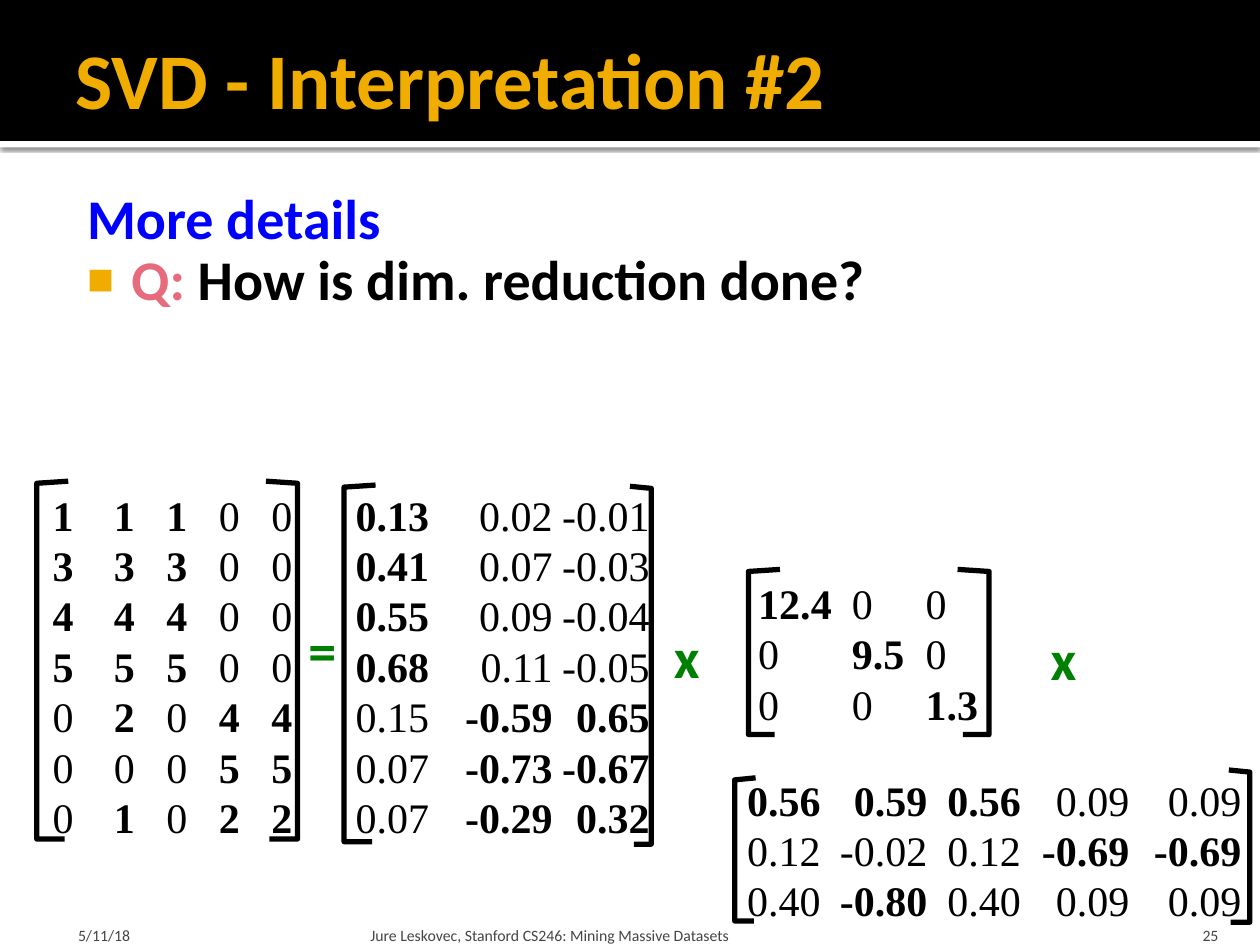
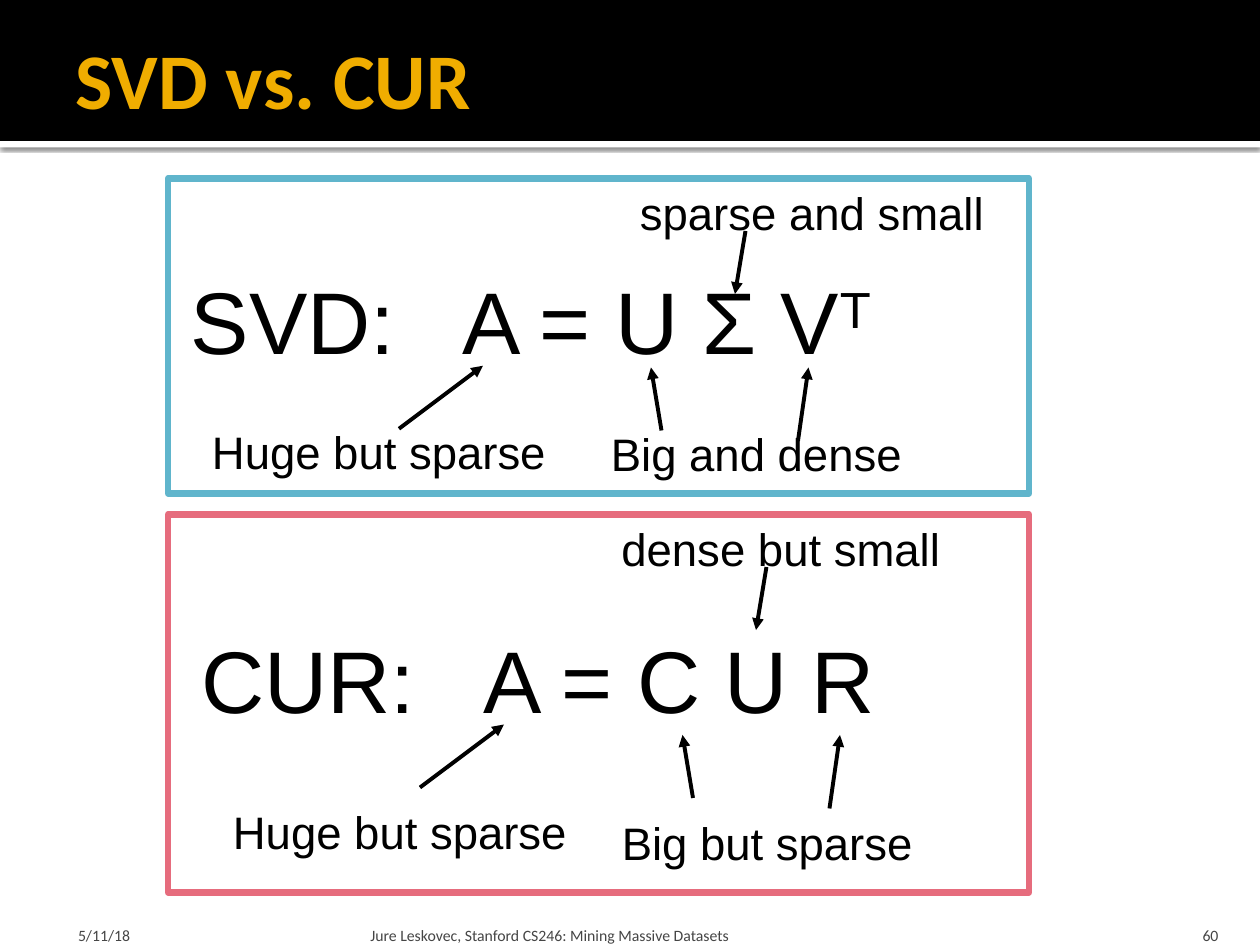
from lxml import etree
from pptx import Presentation
from pptx.dml.color import RGBColor
from pptx.enum.shapes import MSO_CONNECTOR, MSO_SHAPE
from pptx.enum.text import MSO_ANCHOR as ANCHOR, MSO_AUTO_SIZE, PP_ALIGN as ALIGN
from pptx.oxml import parse_xml
from pptx.oxml.ns import nsdecls, qn
from pptx.util import Pt

BLACK = RGBColor(0x00, 0x00, 0x00)
WHITE = RGBColor(0xFF, 0xFF, 0xFF)
GOLD = RGBColor(0xF0, 0xAD, 0x00)
BLUE = RGBColor(0x00, 0x00, 0xFF)
GREEN = RGBColor(0x00, 0x80, 0x00)
ROSE = RGBColor(0xE6, 0x6C, 0x7D)
SKY = RGBColor(0x60, 0xB5, 0xCC)
GREY = RGBColor(0x45, 0x45, 0x45)

HEADING, MATH, LABEL = "Calibri", "Times New Roman", "Arial"
INSETS = (7.2, 3.6, 7.2, 3.6)
TITLE_ONLY, TITLE_AND_BODY = 5, 1
DATE = "5/11/18"
FOOTER = "Jure Leskovec, Stanford CS246: Mining Massive Datasets"

# Bold cells are marked with *
MATRIX_A = ["*1 *1 *1 0 0", "*3 *3 *3 0 0", "*4 *4 *4 0 0", "*5 *5 *5 0 0",
            "0 *2 0 *4 *4", "0 0 0 *5 *5", "0 *1 0 *2 *2"]
MATRIX_U = ["*0.13 0.02 -0.01", "*0.41 0.07 -0.03", "*0.55 0.09 -0.04",
            "*0.68 0.11 -0.05", "0.15 *-0.59 *0.65", "0.07 *-0.73 *-0.67",
            "0.07 *-0.29 *0.32"]
MATRIX_SIGMA = ["*12.4 0 0", "0 *9.5 0", "0 0 *1.3"]
MATRIX_VT = ["*0.56 *0.59 *0.56 0.09 0.09", "0.12 -0.02 0.12 *-0.69 *-0.69",
             "0.40 *-0.80 0.40 0.09 0.09"]


def points(values):
    return [Pt(v) for v in values]


def add_run(p, text, size, font, color=BLACK, bold=False):
    r = p.add_run()
    r.text = text
    r.font.size, r.font.name, r.font.bold = Pt(size), font, bold
    r.font.color.rgb = color
    return r


def set_frame(sp, insets=INSETS, anchor=ANCHOR.TOP, wrap=True):
    tf = sp.text_frame
    tf.auto_size = MSO_AUTO_SIZE.NONE
    tf.word_wrap, tf.vertical_anchor = wrap, anchor
    tf.margin_left, tf.margin_top, tf.margin_right, tf.margin_bottom = points(insets)
    return tf


def place(sp, box):
    sp.left, sp.top, sp.width, sp.height = points(box)


def add_text(slide, box, text, size, font, color=BLACK, bold=False,
             align=ALIGN.LEFT, **frame):
    """Add a text box of one paragraph and return that paragraph."""
    p = set_frame(slide.shapes.add_textbox(*points(box)), **frame).paragraphs[0]
    p.alignment = align
    add_run(p, text, size, font, color, bold)
    return p


def set_tabs(p, stops, kind="l"):
    tabs = etree.SubElement(p._p.get_or_add_pPr(), qn("a:tabLst"))
    for stop in stops:
        etree.SubElement(tabs, qn("a:tab"), pos=str(Pt(stop)), algn=kind)


def add_rect(slide, box, fill, line=None, width=0):
    sp = slide.shapes.add_shape(MSO_SHAPE.RECTANGLE, *points(box))
    sp.shadow.inherit = False
    sp.fill.solid()
    sp.fill.fore_color.rgb = fill
    if line is None:
        sp.line.fill.background()
    else:
        sp.line.color.rgb, sp.line.width = line, Pt(width)
    return sp


def add_bands(slide):
    """Put the black title band and its shadowed white edge behind the title."""
    edge = add_rect(slide, (0, 80.6, 720, 3.6), WHITE)
    effects = edge._element.spPr.find(qn("a:effectLst"))
    effects.append(parse_xml(
        f'<a:outerShdw {nsdecls("a")} blurRad="{Pt(2.5)}" dist="{Pt(0.8)}" '
        'dir="5400000" algn="t" rotWithShape="0"><a:srgbClr val="000000">'
        '<a:alpha val="60000"/></a:srgbClr></a:outerShdw>'))
    band = add_rect(slide, (0, 0, 720, 80.6), BLACK)
    for i, sp in enumerate((edge, band)):
        slide.shapes._spTree.insert(2 + i, sp._element)


def add_slide(prs, layout, title, number):
    """Add a slide with the title, bands and footers that all slides share."""
    slide = prs.slides.add_slide(prs.slide_layouts[layout])
    add_bands(slide)
    place(slide.shapes.title, (36, 5.8, 648, 77.8))
    tf = set_frame(slide.shapes.title, (7.2, 3.6, 3.6, 3.6), ANCHOR.MIDDLE)
    p = tf.paragraphs[0]
    p.alignment = ALIGN.LEFT
    add_run(p, title, 45, HEADING, GOLD, True)
    for text, left, width, inset, align in (
            (DATE, 36, 168, 8.6, ALIGN.LEFT),
            (FOOTER, 208, 433.4, 3.6, ALIGN.LEFT),
            (str(number), 645.8, 57.6, 7.2, ALIGN.RIGHT)):
        add_text(slide, (left, 518.4, width, 21.6), text, 9, HEADING, GREY,
                 align=align, insets=(inset, 3.6, inset, 0), anchor=ANCHOR.BOTTOM)
    return slide


def add_body_line(p, runs, bullet=None):
    pPr = p._p.get_or_add_pPr()
    pPr.set("marL", str(Pt(34.6)))
    pPr.set("indent", str(Pt(-25.2)))
    if bullet:
        color = etree.SubElement(pPr, qn("a:buClr"))
        etree.SubElement(color, qn("a:srgbClr"), val=str(GOLD))
        etree.SubElement(pPr, qn("a:buSzPct"), val="80000")
        etree.SubElement(pPr, qn("a:buFont"), typeface="Arial")
        etree.SubElement(pPr, qn("a:buChar"), char=bullet)
    else:
        etree.SubElement(pPr, qn("a:buNone"))
    p.line_spacing, p.space_before = 0.9, Pt(0)
    for text, color in runs:
        add_run(p, text, 32, HEADING, color, True)


def add_bracket(slide, stem, top, bottom, top_lip, bottom_lip):
    """Draw one bracket; negative lips point left."""
    corners = [(stem + top_lip, top), (stem, top + 1.2),
               (stem, bottom), (stem + bottom_lip, bottom)]
    start, *rest = [points(c) for c in corners]
    builder = slide.shapes.build_freeform(*start)
    builder.add_line_segments(rest, close=False)
    sp = builder.convert_to_shape()
    sp.shadow.inherit = False
    sp.fill.background()
    sp.line.color.rgb, sp.line.width = BLACK, Pt(3)


def add_matrix(slide, box, rows, first, stops, kind, brackets):
    """Write rows with tab-aligned columns; first is the indent of column one."""
    for bracket in brackets:
        add_bracket(slide, *bracket)
    tf = set_frame(slide.shapes.add_textbox(*points(box)), (7.2, 4.5, 3.6, 3.6))
    for i, row in enumerate(rows):
        p = tf.add_paragraph() if i else tf.paragraphs[0]
        p._p.get_or_add_pPr().set("marL", str(Pt(first)))
        set_tabs(p, stops, kind)
        p.line_spacing = Pt(28.8)
        for j, cell in enumerate(row.split()):
            add_run(p, ("\t" if j else "") + cell.lstrip("*"), 24, MATH,
                    bold=cell.startswith("*"))


def add_arrow(slide, x1, y1, x2, y2):
    line = slide.shapes.add_connector(MSO_CONNECTOR.STRAIGHT, *points((x1, y1, x2, y2)))
    line.line.color.rgb, line.line.width = BLACK, Pt(2.25)
    etree.SubElement(line.line._get_or_add_ln(), qn("a:tailEnd"), type="triangle")
    etree.SubElement(line._element.spPr, qn("a:effectLst"))


def add_formula(slide, left, top, text, tab):
    p = add_text(slide, (left, top, 474, 67), text, 50, LABEL)
    set_tabs(p, [tab])
    return p


def build_interpretation(prs):
    slide = add_slide(prs, TITLE_AND_BODY, "SVD - Interpretation #2", 25)
    body = slide.placeholders[1]
    place(body, (36, 102.2, 648, 414))
    tf = set_frame(body, (4.3, 7.2, 7.2, 3.6))
    add_body_line(tf.paragraphs[0], [("More details", BLUE)])
    add_body_line(tf.add_paragraph(),
                  [("Q:", ROSE), (" How is dim. reduction done?", BLACK)], "■")

    add_matrix(slide, (18, 275, 156, 211), MATRIX_A, 5,
               [5 + 30 * i for i in range(1, 5)], "l",
               [(21, 275, 479.5, 18, 16), (170, 275, 479.5, -18, -16)])
    add_matrix(slide, (186.5, 275, 198, 211), MATRIX_U, 9.7, [112.5, 173], "r",
               [(196.6, 277.2, 481, 18, 16), (372.2, 277.9, 482.4, -12.2, -10)])
    add_matrix(slide, (426.2, 325.4, 156, 94.3), MATRIX_SIGMA, 0, [53.5, 95.7], "l",
               [(427.7, 325.4, 419.8, 18, 15), (565.2, 325.4, 419.8, -18, -15)])
    add_matrix(slide, (419.8, 437.8, 300, 94.3), MATRIX_VT, 0,
               [103, 156.5, 218.5, 282.5], "r",
               [(419.8, 444.5, 526.3, 12, 11), (714.2, 440, 527, -12, -11)])
    for sign, left, top in (("=", 169.2, 347.8), ("x", 378, 352), ("x", 593.3, 352.8)):
        add_text(slide, (left, top, 31.7, 46), sign, 32, HEADING, GREEN, True,
                 anchor=ANCHOR.MIDDLE, wrap=False)


def build_comparison(prs):
    slide = add_slide(prs, TITLE_ONLY, "SVD vs. CUR", 60)
    add_rect(slide, (96, 294, 492, 216), WHITE, ROSE, 3.78)
    add_rect(slide, (96, 102, 492, 180), WHITE, SKY, 3.78)

    p = add_formula(slide, 102, 149, "SVD:\tA = U Σ V", 155)
    exponent = add_run(p, "T", 50, LABEL)
    exponent._r.get_or_add_rPr().set("baseline", "30000")
    add_formula(slide, 108, 354, "CUR:\tA = C U R", 161.5)

    for text, left, top, width in (
            ("sparse and small", 358.6, 102, 211),
            ("Huge but sparse", 114, 239, 207),
            ("Big and dense", 342, 240, 181),
            ("dense but small", 348, 294, 197),
            ("Huge but sparse", 126, 456, 207),
            ("Big but sparse", 348.2, 462, 181)):
        add_text(slide, (left, top, width, 38.5), text, 26, LABEL, wrap=False)

    for arrow in ((426, 132, 420, 168), (228, 245, 276, 209),
                  (378, 246, 372, 210), (456, 252, 462, 210),
                  (438, 324, 432, 360), (240, 450, 288, 414),
                  (396, 456, 390, 420), (474, 462, 480, 420)):
        add_arrow(slide, *arrow)


def main():
    prs = Presentation()
    prs.slide_width, prs.slide_height = Pt(720), Pt(540)
    build_interpretation(prs)
    build_comparison(prs)
    prs.save("out.pptx")


if __name__ == "__main__":
    main()
